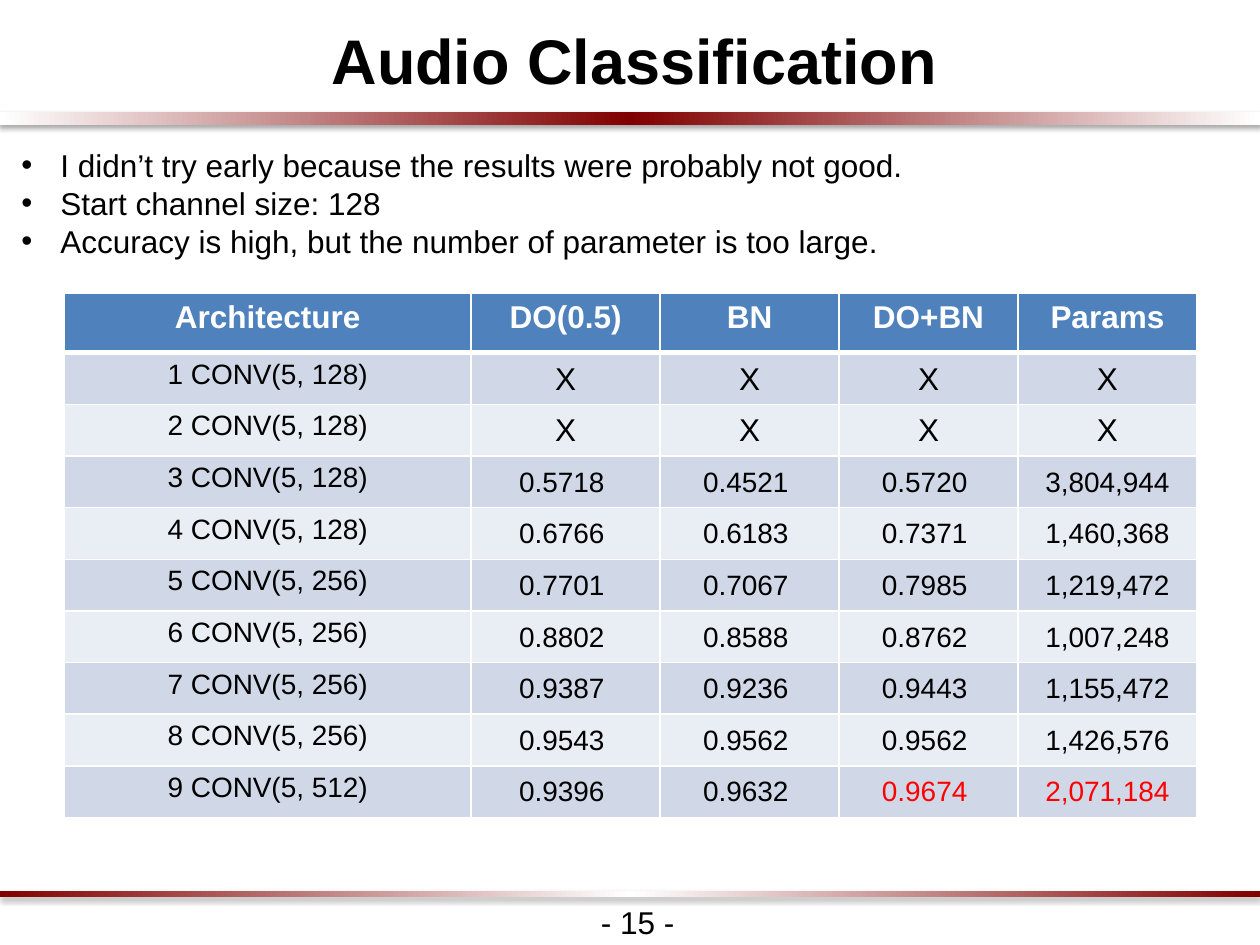
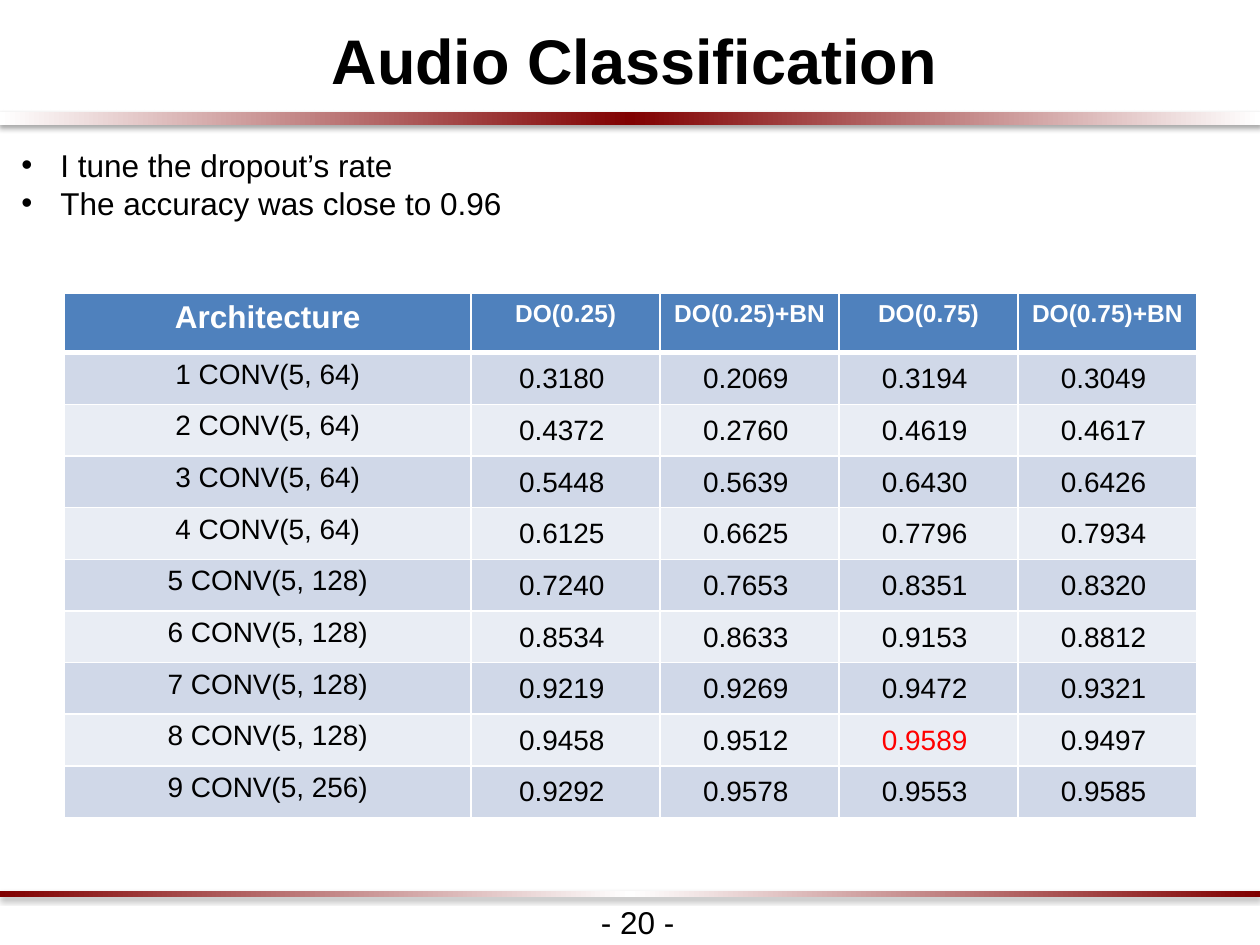
from dataclasses import dataclass

from lxml.etree import SubElement
from pptx import Presentation
from pptx.dml.color import RGBColor
from pptx.enum.text import MSO_ANCHOR, MSO_AUTO_SIZE, PP_ALIGN
from pptx.enum.shapes import MSO_SHAPE
from pptx.oxml.ns import qn
from pptx.util import Inches, Pt

FONT = "Arial"
BLACK, WHITE, RED, MAROON = "000000", "FFFFFF", "FF0000", "800000"
HEADER_FILL = "4F81BD"
ROW_FILLS = ("D0D8E8", "E9EDF4")
COLUMN_WIDTHS = (3.23, 1.5, 1.42, 1.42, 1.42)
HEADER_HEIGHT, ROW_HEIGHT = 0.47, 0.41
THIN, THICK = 1, 3


@dataclass
class Band:
    """A full-width gradient strip with its three colours."""
    top: float
    height: float
    colors: tuple


@dataclass
class ResultSlide:
    """Bullets and a table of results for one slide."""
    page: int
    bullets: list
    measures: list
    measure_size: int
    rows: list
    highlights: set


BANDS = [
    Band(0.89, 0.1, (WHITE, MAROON, WHITE)),
    Band(7.07, 0.05, (MAROON, WHITE, MAROON)),
]

RESULT_SLIDES = [
    ResultSlide(
        page=15,
        bullets=[
            "I didn’t try early because the results were probably not good.",
            "Start channel size: 128",
            "Accuracy is high, but the number of parameter is too large.",
        ],
        measures=["DO(0.5)", "BN", "DO+BN", "Params"],
        measure_size=18,
        rows=[
            (128, "X", "X", "X", "X"),
            (128, "X", "X", "X", "X"),
            (128, 0.5718, 0.4521, 0.5720, 3804944),
            (128, 0.6766, 0.6183, 0.7371, 1460368),
            (256, 0.7701, 0.7067, 0.7985, 1219472),
            (256, 0.8802, 0.8588, 0.8762, 1007248),
            (256, 0.9387, 0.9236, 0.9443, 1155472),
            (256, 0.9543, 0.9562, 0.9562, 1426576),
            (512, 0.9396, 0.9632, 0.9674, 2071184),
        ],
        highlights={(9, 3), (9, 4)},
    ),
    ResultSlide(
        page=20,
        bullets=["I tune the dropout’s rate", "The accuracy was close to 0.96"],
        measures=["DO(0.25)", "DO(0.25)+BN", "DO(0.75)", "DO(0.75)+BN"],
        measure_size=14,
        rows=[
            (64, 0.3180, 0.2069, 0.3194, 0.3049),
            (64, 0.4372, 0.2760, 0.4619, 0.4617),
            (64, 0.5448, 0.5639, 0.6430, 0.6426),
            (64, 0.6125, 0.6625, 0.7796, 0.7934),
            (128, 0.7240, 0.7653, 0.8351, 0.8320),
            (128, 0.8534, 0.8633, 0.9153, 0.8812),
            (128, 0.9219, 0.9269, 0.9472, 0.9321),
            (128, 0.9458, 0.9512, 0.9589, 0.9497),
            (256, 0.9292, 0.9578, 0.9553, 0.9585),
        ],
        highlights={(8, 3)},
    ),
]


def color(value: str) -> RGBColor:
    """Turn a hex string into a colour."""
    return RGBColor.from_string(value)


def format_paragraph(paragraph, size, text_color=BLACK, bold=False, align=PP_ALIGN.LEFT) -> None:
    """Set the font and alignment of a paragraph."""
    font = paragraph.font
    font.name, font.size, font.bold = FONT, Pt(size), bold
    font.color.rgb = color(text_color)
    paragraph.alignment = align


def set_indent(paragraph, left: float, first_line: float) -> None:
    """Set the left margin and first-line indent in inches."""
    properties = paragraph._p.get_or_add_pPr()
    properties.set("marL", str(Inches(left)))
    properties.set("indent", str(Inches(first_line)))


def place(shape, left: float, top: float, width: float, height: float) -> None:
    """Move and size a shape in inches."""
    shape.left, shape.top = Inches(left), Inches(top)
    shape.width, shape.height = Inches(width), Inches(height)


def add_band(slide, layout, band: Band) -> None:
    """Draw a shadowed gradient strip and hand it to the layout."""
    shape = slide.shapes.add_shape(
        MSO_SHAPE.RECTANGLE, 0, Inches(band.top), Inches(10), Inches(band.height))
    shape.line.fill.background()
    shape.fill.gradient()
    shape.fill.gradient_angle = 0
    stops = shape.element.spPr.find(f"{qn('a:gradFill')}/{qn('a:gsLst')}")
    for stop in list(stops):
        stops.remove(stop)
    for position, stop_color in zip((0, 50000, 100000), band.colors):
        stop = SubElement(stops, qn("a:gs"), pos=str(position))
        SubElement(stop, qn("a:srgbClr"), val=stop_color)

    shape.shadow.inherit = False
    effects = shape.element.spPr.find(qn("a:effectLst"))
    shadow = SubElement(effects, qn("a:outerShdw"), blurRad=str(Pt(3.1)),
                        dist=str(Pt(1.8)), dir="5400000", rotWithShape="0")
    shadow_color = SubElement(shadow, qn("a:srgbClr"), val=BLACK)
    SubElement(shadow_color, qn("a:alpha"), val="35000")
    layout.shapes.element.append(shape.element)


def fill_title(slide) -> None:
    """Write the shared slide title."""
    title = slide.shapes.title
    place(title, -0.23, 0.03, 10.45, 0.79)
    frame = title.text_frame
    frame.text = "Audio Classification"
    frame.auto_size = MSO_AUTO_SIZE.NONE
    frame.vertical_anchor = MSO_ANCHOR.MIDDLE
    frame.margin_top = frame.margin_bottom = Inches(0.1)
    paragraph = frame.paragraphs[0]
    format_paragraph(paragraph, 36, bold=True, align=PP_ALIGN.CENTER)
    paragraph.line_spacing = 1.15
    set_indent(paragraph, 0.08, 0)


def fill_bullets(slide, bullets: list) -> None:
    """Write the bullet list into the body placeholder."""
    body = slide.placeholders[1]
    place(body, 0.07, 1.11, 9.42, 1.06)
    frame = body.text_frame
    frame.text = "\n".join(bullets)
    frame.auto_size = MSO_AUTO_SIZE.NONE
    for paragraph in frame.paragraphs:
        format_paragraph(paragraph, 18)
        paragraph.space_before = Pt(0)
        set_indent(paragraph, 0.31, -0.31)


def add_page_number(slide, page: int) -> None:
    """Write the page number below the bottom band."""
    box = slide.shapes.add_textbox(Inches(4.67), Inches(7.12), Inches(0.79), Inches(0.4))
    box.text_frame.word_wrap = False
    box.text_frame.text = f"- {page} -"
    format_paragraph(box.text_frame.paragraphs[0], 18)


def style_cell(cell, fill: str, top: int, bottom: int) -> None:
    """Give a cell white borders, with widths in points, and a fill."""
    properties = cell._tc.get_or_add_tcPr()
    for side, width in (("L", THIN), ("R", THIN), ("T", top), ("B", bottom)):
        line = SubElement(properties, qn(f"a:ln{side}"), w=str(Pt(width)))
        SubElement(SubElement(line, qn("a:solidFill")), qn("a:srgbClr"), val=WHITE)
    cell.fill.solid()
    cell.fill.fore_color.rgb = color(fill)


def write_cell(cell, text: str, size: int, text_color=BLACK, bold=False) -> None:
    """Write centred text into a cell."""
    cell.text = text
    format_paragraph(cell.text_frame.paragraphs[0], size, text_color, bold, PP_ALIGN.CENTER)


def format_value(value) -> str:
    """Show accuracies with four decimals and counts with separators."""
    if isinstance(value, float):
        return f"{value:.4f} "
    return f"{value:,}" if isinstance(value, int) else value


def add_results(slide, content: ResultSlide) -> None:
    """Build the table of architectures and their results."""
    height = HEADER_HEIGHT + ROW_HEIGHT * len(content.rows)
    table = slide.shapes.add_table(
        len(content.rows) + 1, len(COLUMN_WIDTHS), Inches(0.51), Inches(2.33),
        Inches(sum(COLUMN_WIDTHS)), Inches(height)).table
    table.horz_banding = False
    for column, width in zip(table.columns, COLUMN_WIDTHS):
        column.width = Inches(width)
    for index, row in enumerate(table.rows):
        row.height = Inches(ROW_HEIGHT if index else HEADER_HEIGHT)

    for column, heading in enumerate(["Architecture", *content.measures]):
        cell = table.cell(0, column)
        style_cell(cell, HEADER_FILL, THIN, THICK)
        write_cell(cell, heading, content.measure_size if column else 18, WHITE, True)

    for row, (channels, *values) in enumerate(content.rows, start=1):
        fill = ROW_FILLS[(row - 1) % 2]
        top = THICK if row == 1 else THIN
        label = table.cell(row, 0)
        style_cell(label, fill, top, THIN)
        write_cell(label, f"{row} CONV(5, {channels})", 16)
        for column, value in enumerate(values, start=1):
            cell = table.cell(row, column)
            style_cell(cell, fill, top, THIN)
            cell.vertical_anchor = MSO_ANCHOR.MIDDLE
            cell.margin_left = cell.margin_right = cell.margin_top = Inches(0.01)
            cell.margin_bottom = 0
            text_color = RED if (row, column) in content.highlights else BLACK
            write_cell(cell, format_value(value), 18 if value == "X" else 16, text_color)


def main() -> None:
    """Build and save the presentation."""
    presentation = Presentation()
    presentation.slide_width, presentation.slide_height = Inches(10), Inches(7.5)
    layout = presentation.slide_layouts[1]
    for index, content in enumerate(RESULT_SLIDES):
        slide = presentation.slides.add_slide(layout)
        if index == 0:
            for band in BANDS:
                add_band(slide, layout, band)
        fill_title(slide)
        fill_bullets(slide, content.bullets)
        add_page_number(slide, content.page)
        add_results(slide, content)
    presentation.save("out.pptx")


main()
